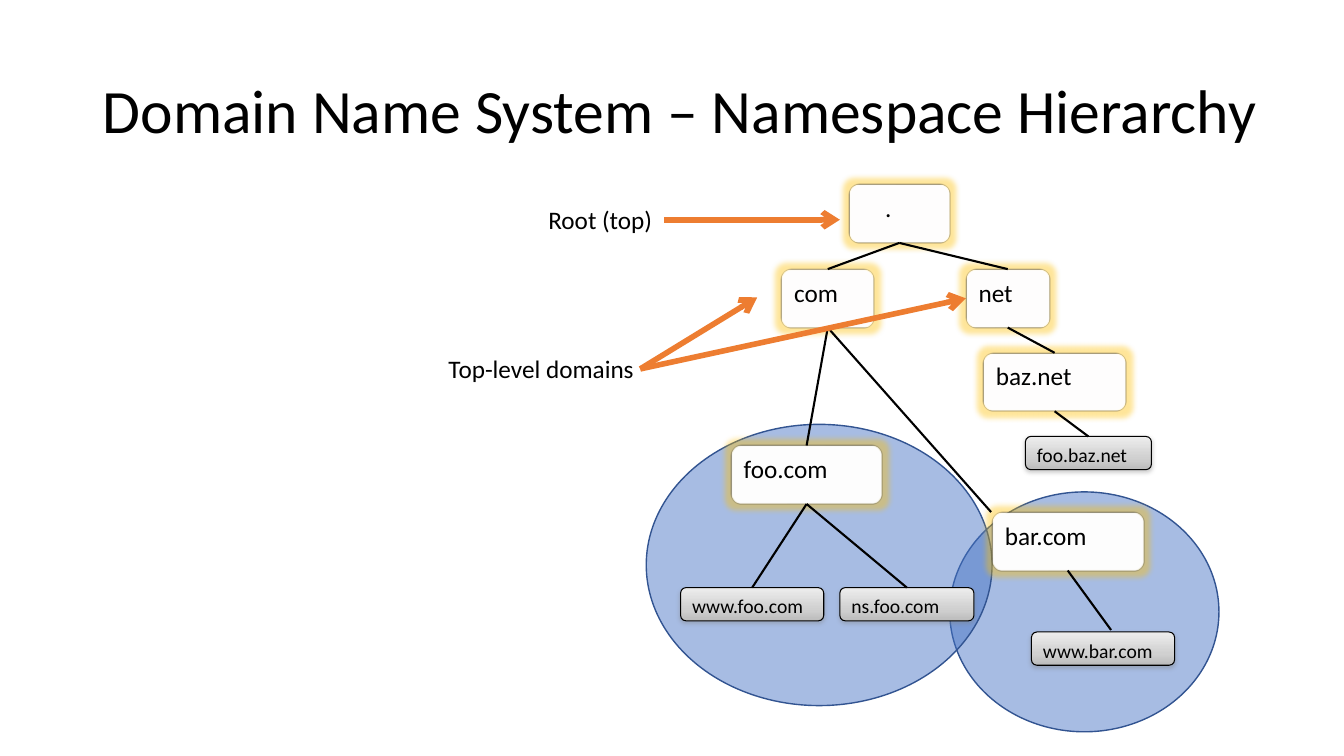
import copy
import dataclasses

import lxml.etree
import pptx
import pptx.dml.color
import pptx.enum.shapes
import pptx.enum.text
import pptx.oxml.ns
import pptx.util

Inches = pptx.util.Inches
Pt = pptx.util.Pt
qn = pptx.oxml.ns.qn
SHAPE = pptx.enum.shapes.MSO_SHAPE


@dataclasses.dataclass(frozen=True)
class Theme:
    """Colours, font and type sizes of the slide."""
    font: str = "Calibri"
    title: int = 44
    label: int = 18
    host: int = 14
    ink: str = "000000"
    paper: str = "FFFFFF"
    zone: str = "4472C4"
    zone_edge: str = "325491"
    pointer: str = "ED7D31"
    glow: str = "FFC000"
    shade: str = "808080"
    metal: tuple = ((0, "BCBCBC"), (0.35, "D0D0D0"), (1, "EDEDED"))


THEME = Theme()

ZONES = [(9.42, 4.88, 2.67, 2.38), (6.41, 4.21, 3.43, 2.79)]
DOMAIN_HEIGHT = 0.58
HOST_HEIGHT = 0.33
DOMAINS = {
    ".": (8.42, 1.83, 1),
    "com": (7.75, 2.67, 0.92),
    "net": (9.58, 2.67, 0.83),
    "baz.net": (9.75, 3.5, 1.42),
    "foo.com": (7.25, 4.42, 1.5),
    "bar.com": (9.84, 5.08, 1.5),
}
HOSTS = {
    "www.foo.com": (6.75, 5.83, 1.42),
    "ns.foo.com": (8.33, 5.83, 1.33),
    "www.bar.com": (10.23, 6.27, 1.42),
    "foo.baz.net": (10.17, 4.33, 1.25),
}
CHILDREN = {
    ".": ["com", "net"],
    "com": ["foo.com", "bar.com"],
    "net": ["baz.net"],
    "baz.net": ["foo.baz.net"],
    "foo.com": ["www.foo.com", "ns.foo.com"],
    "bar.com": ["www.bar.com"],
}
LANDINGS = {"bar.com": (9.83, 5.08), "www.bar.com": (11.02, 6.25)}
LABELS = {"Root (top)": (5.34, 1.98, 1.24, 0.4),
          "Top-level domains": (4.35, 3.46, 2.06, 0.4)}
POINTERS = [((6.59, 2.18), (8.33, 2.18)),
            ((6.35, 3.66), (7.51, 2.95)),
            ((6.35, 3.66), (9.58, 2.96))]


def rgb(value):
    """Return the colour for a hex string."""
    return pptx.dml.color.RGBColor.from_string(value)


def add_child(parent, tag, **attributes):
    """Append a DrawingML element and return it."""
    return lxml.etree.SubElement(parent, qn(tag), attributes)


def add_colour(parent, value, alpha):
    """Append a colour with an opacity in percent."""
    colour = add_child(parent, "a:srgbClr", val=value)
    add_child(colour, "a:alpha", val=str(alpha * 1000))


def write(shape, text, size):
    """Set one left-aligned line of text."""
    frame = shape.text_frame
    frame.text = text
    para = frame.paragraphs[0]
    para.alignment = pptx.enum.text.PP_ALIGN.LEFT
    for span in para.runs:
        span.font.name = THEME.font
        span.font.size = Pt(size)
        span.font.color.rgb = rgb(THEME.ink)
    return frame


def add_title(page, text):
    """Place and fill the title placeholder."""
    title = page.shapes.title
    title.left, title.top = Inches(0.92), Inches(0.4)
    title.width, title.height = Inches(11.8), Inches(1.45)
    frame = write(title, text, THEME.title)
    frame.vertical_anchor = pptx.enum.text.MSO_ANCHOR.MIDDLE
    frame.paragraphs[0].line_spacing = 0.9


def add_outlined(page, kind, bounds, edge, weight):
    """Add a preset shape with an outline and no shadow."""
    shape = page.shapes.add_shape(kind, *map(Inches, bounds))
    shape.shadow.inherit = False
    shape.line.color.rgb = rgb(edge)
    shape.line.width = Pt(weight)
    return shape


def add_zone(page, bounds):
    """Add a translucent zone ellipse."""
    zone = add_outlined(page, SHAPE.OVAL, bounds, THEME.zone_edge, 1)
    zone.fill.solid()
    zone.fill.fore_color.rgb = rgb(THEME.zone)
    colour = zone.element.spPr.find(qn("a:solidFill")).find(qn("a:srgbClr"))
    add_child(colour, "a:alpha", val="47000")


def add_node(page, name, place, height, size, weight):
    """Add a rounded box for one name in the tree."""
    node = add_outlined(page, SHAPE.ROUNDED_RECTANGLE, (*place, height), THEME.ink, weight)
    write(node, name, size).vertical_anchor = pptx.enum.text.MSO_ANCHOR.TOP
    return node


def add_domain(page, name, place):
    """Add a glowing white domain box."""
    domain = add_node(page, name, place, DOMAIN_HEIGHT, THEME.label, 1)
    domain.fill.solid()
    domain.fill.fore_color.rgb = rgb(THEME.paper)
    if name == ".":
        domain.text_frame.margin_left = Inches(0.33)
    effects = domain.element.spPr.find(qn("a:effectLst"))
    glow = add_child(effects, "a:glow", rad=str(Pt(8)))
    add_colour(glow, THEME.glow, 40)
    add_child(effects, "a:softEdge", rad=str(Pt(1)))


def add_host(page, name, place):
    """Add a metallic host box with a soft shadow."""
    host = add_node(page, name, place, HOST_HEIGHT, THEME.host, 0.75)
    host.fill.gradient()
    host.fill.gradient_angle = 90
    stops = host.element.spPr.find(qn("a:gradFill")).find(qn("a:gsLst"))
    stops.append(copy.deepcopy(stops[0]))
    for stop, (position, colour) in zip(host.fill.gradient_stops, THEME.metal):
        stop.position = position
        stop.color.rgb = rgb(colour)
    effects = host.element.spPr.find(qn("a:effectLst"))
    shadow = add_child(effects, "a:outerShdw", blurRad=str(Pt(3)), dist=str(Pt(1.6)),
                       dir="5400000", rotWithShape="0")
    add_colour(shadow, THEME.shade, 38)


def add_line(page, start, end, colour, weight, arrow=False):
    """Add a straight line, with an arrowhead at its end if asked."""
    line = page.shapes.add_connector(pptx.enum.shapes.MSO_CONNECTOR.STRAIGHT,
                                     *map(Inches, (*start, *end)))
    line.line.color.rgb = rgb(colour)
    line.line.width = Pt(weight)
    if arrow:
        add_child(line.line._get_or_add_ln(), "a:tailEnd", type="arrow")
    add_child(line.element.spPr, "a:effectLst")


def add_branches(page):
    """Join each domain's bottom centre to the top of its children."""
    places = {**DOMAINS, **HOSTS}
    for parent, children in CHILDREN.items():
        left, top, width = places[parent]
        start = (left + width / 2, top + DOMAIN_HEIGHT)
        for child in children:
            left, top, width = places[child]
            end = LANDINGS.get(child, (left + width / 2, top))
            add_line(page, start, end, THEME.ink, 1.5)


def add_label(page, text, bounds):
    """Add an unwrapped text label."""
    box = page.shapes.add_textbox(*map(Inches, bounds))
    frame = write(box, text, THEME.label)
    frame.word_wrap = False
    frame.auto_size = pptx.enum.text.MSO_AUTO_SIZE.SHAPE_TO_FIT_TEXT


def main():
    """Build the slide and save it."""
    deck = pptx.Presentation()
    deck.slide_width, deck.slide_height = Inches(13.33), Inches(7.5)
    page = deck.slides.add_slide(deck.slide_layouts.get_by_name("Title Only"))
    for bounds in ZONES:
        add_zone(page, bounds)
    add_title(page, "Domain Name System – Namespace Hierarchy")
    for name, place in DOMAINS.items():
        add_domain(page, name, place)
    for name, place in HOSTS.items():
        add_host(page, name, place)
    add_branches(page)
    for text, bounds in LABELS.items():
        add_label(page, text, bounds)
    for start, end in POINTERS:
        add_line(page, start, end, THEME.pointer, 4, arrow=True)
    deck.save("out.pptx")


main()
